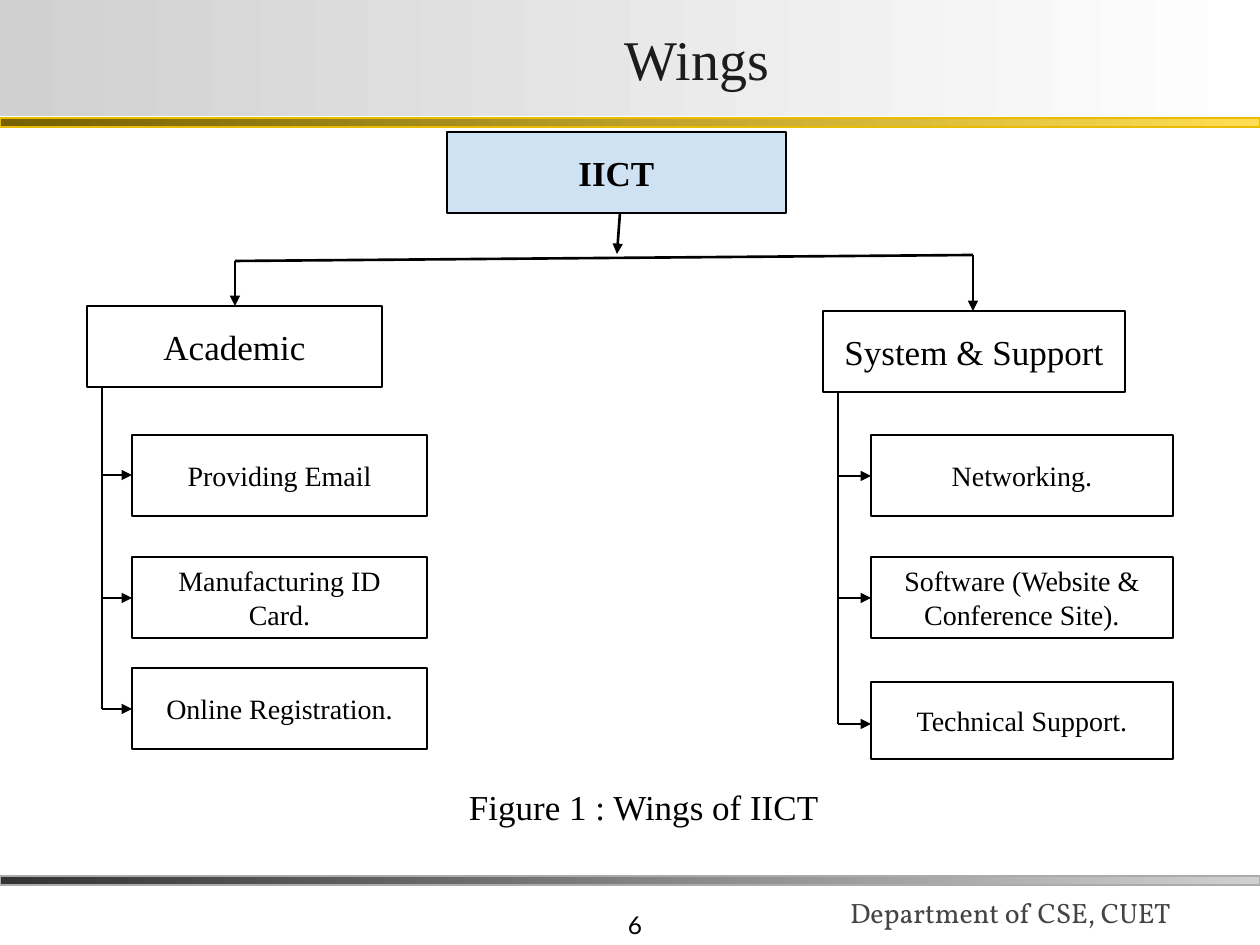
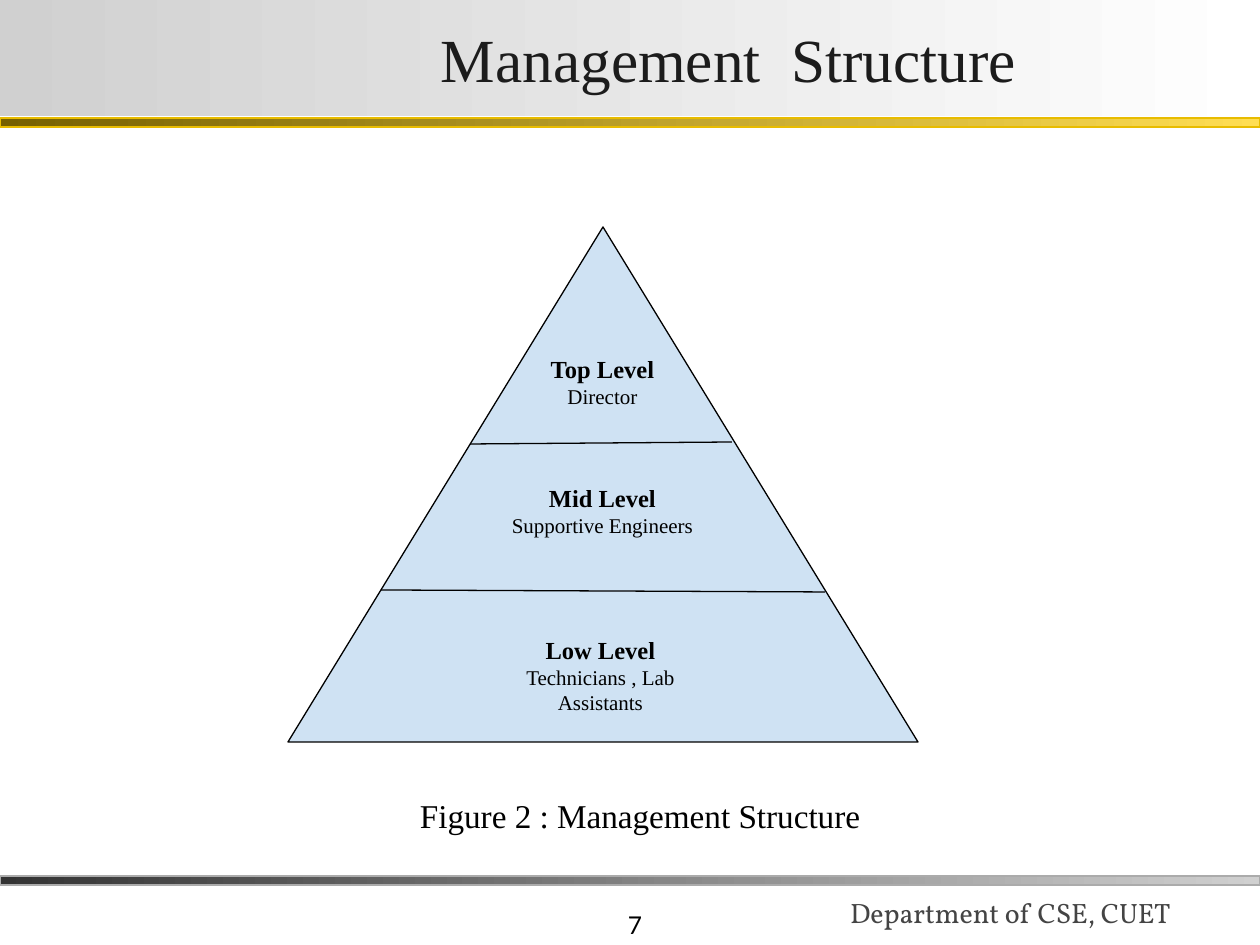
from pptx import Presentation
from pptx import util as u
from pptx.dml.color import RGBColor
from pptx.enum import shapes, text
from pptx.oxml.ns import qn
from lxml import etree

# Content; every length is in pixels, 126 to the inch
SERIF, BLACK, WHITE, PALE = "Times New Roman", "000000", "FFFFFF", "CFE2F3"
FOOT = "Department of CSE, CUET"
ROOT = ("IICT", (447, 132, 339, 81))
# Wing: name, box, left of its items, trunk x, items (text, top, height, arrow y)
WINGS = [
    ("Academic", (87, 306, 295, 81), 132, 102, [
        ("Providing Email", 435, 81, 475),
        ("Manufacturing ID Card.", 557, 81, 598),
        ("Online Registration.", 668, 81, 709)]),
    ("System & Support", (823, 311, 302, 81), 871, 838, [
        ("Networking.", 435, 81, 476),
        ("Software (Website & Conference Site).", 557, 81, 598),
        ("Technical Support.", 682, 77, 724)]),
]
BEAM = [(235, 261), (973, 255)]
PEAK = (288, 227, 630, 515)
CUTS = [((470, 444), (732, 442)), ((381, 590), (825, 592))]
LEVELS = [
    ("Top Level", "Director", (478, 341, 249, 81)),
    ("Mid Level", "Supportive Engineers", (483, 470, 239, 81)),
    ("Low Level", "Technicians , Lab Assistants", (481, 622, 239, 106)),
]

prs = Presentation()
PX = u.Inches(1) / 126
prs.slide_width, prs.slide_height = u.Inches(10), u.Inches(7.5)
ALIGN = {"l": text.PP_ALIGN.LEFT, "c": text.PP_ALIGN.CENTER,
         "r": text.PP_ALIGN.RIGHT}
ANCHOR = {"t": text.MSO_ANCHOR.TOP, "m": text.MSO_ANCHOR.MIDDLE,
          "b": text.MSO_ANCHOR.BOTTOM}


def emu(*vals):
    return [round(v * PX) for v in vals]


def rgb(code):
    return RGBColor.from_string(code)


def write(shape, *lines, size=16, font=SERIF, color=BLACK, bold=False,
          align="c", anchor="m", left=13, pad=13):
    """Fill a shape with lines, each a string or (string, size, bold)."""
    frame = shape.text_frame
    frame.word_wrap = True
    frame.vertical_anchor = ANCHOR[anchor]
    frame.margin_left, frame.margin_right = emu(left, 13)
    frame.margin_top, frame.margin_bottom = emu(pad, pad)
    for i, line in enumerate(lines):
        words, pts, heavy = (line, size, bold) if isinstance(line, str) else line
        para = frame.add_paragraph() if i else frame.paragraphs[0]
        para.alignment = ALIGN[align]
        run = para.add_run()
        run.text = words
        run.font.name, run.font.size, run.font.bold = font, u.Pt(pts), heavy
        run.font.color.rgb = rgb(color)


def label(slide, box, *lines, **style):
    write(slide.shapes.add_textbox(*emu(*box)), *lines, **style)


def block(slide, box, fill, line=BLACK, kind=shapes.MSO_SHAPE.RECTANGLE):
    """Preset shape; a pair of colours makes a left-to-right gradient."""
    shape = slide.shapes.add_shape(kind, *emu(*box))
    shape.shadow.inherit = False
    if isinstance(fill, str):
        shape.fill.solid()
        shape.fill.fore_color.rgb = rgb(fill)
    else:
        shape.fill.gradient()
        shape.fill.gradient_angle = 0
        for stop, code in zip(shape.fill.gradient_stops, fill):
            stop.color.rgb = rgb(code)
    if line:
        shape.line.color.rgb = rgb(line)
        shape.line.width = u.Pt(0.75)
    else:
        shape.line.fill.background()
    return shape


def rule(slide, start, end, width=1.5, arrow=False):
    link = slide.shapes.add_connector(
        shapes.MSO_CONNECTOR.STRAIGHT, *emu(*start, *end))
    link.line.color.rgb = rgb(BLACK)
    link.line.width = u.Pt(width)
    if arrow:
        etree.SubElement(link.line._get_or_add_ln(), qn("a:tailEnd"),
                         type="triangle")
    etree.SubElement(link._element.spPr, qn("a:effectLst"))


def page(title, size, left, number):
    """New slide with the shared bands, title and footer."""
    slide = prs.slides.add_slide(prs.slide_layouts[6])
    label(slide, (393, 882, 262, 63), str(number), size=14, font="Lato",
          align="r", anchor="b", pad=6)
    label(slide, (837, 857, 433, 78), FOOT, font="Vollkorn",
          color="444444", align="l", anchor="b", pad=6)
    block(slide, (0, 876, 1260, 9), ("333333", "D0D0D0"), "ABABAB")
    block(slide, (0, 118, 1260, 9), ("766000", "FFDE53"), "E8BC00")
    band = block(slide, (0, 0, 1260, 116), ("D0D0D0", WHITE), None)
    write(band, title, size=size, color="1C1C1C", align="l", left=left, pad=1)
    return slide


# Slide 1: tree of wings
slide = page("Wings", 32, 625, 6)
write(block(slide, ROOT[1], PALE), ROOT[0], size=20, bold=True)
rule(slide, *BEAM)
rule(slide, (620, 213), (617, 254), arrow=True)
for (name, box, left, trunk, items), top in zip(WINGS, BEAM):
    x, y, wide, high = box
    write(block(slide, box, WHITE), name, size=20)
    rule(slide, top, (top[0], y), arrow=True)
    rule(slide, (trunk, y + high + 1), (trunk, items[-1][3]))
    for words, y, high, mid in items:
        write(block(slide, (left, y, wide, high), WHITE), words)
        rule(slide, (trunk, mid), (left, mid), arrow=True)
label(slide, (431, 772, 474, 68), "Figure 1 : Wings of IICT", size=20,
      align="l", anchor="t", left=38)

# Slide 2: pyramid of levels
slide = page("Management  Structure", 35, 441, 7)
block(slide, PEAK, PALE, kind=shapes.MSO_SHAPE.FLOWCHART_EXTRACT)
for start, end in CUTS:
    rule(slide, start, end, 0.75)
for name, staff, box in LEVELS:
    label(slide, box, (name, 14, True), (staff, 12, False), anchor="t")
label(slide, (267, 782, 616, 66), "Figure 2 : Management Structure", size=19,
      align="l", anchor="t", left=153)

prs.save("out.pptx")
